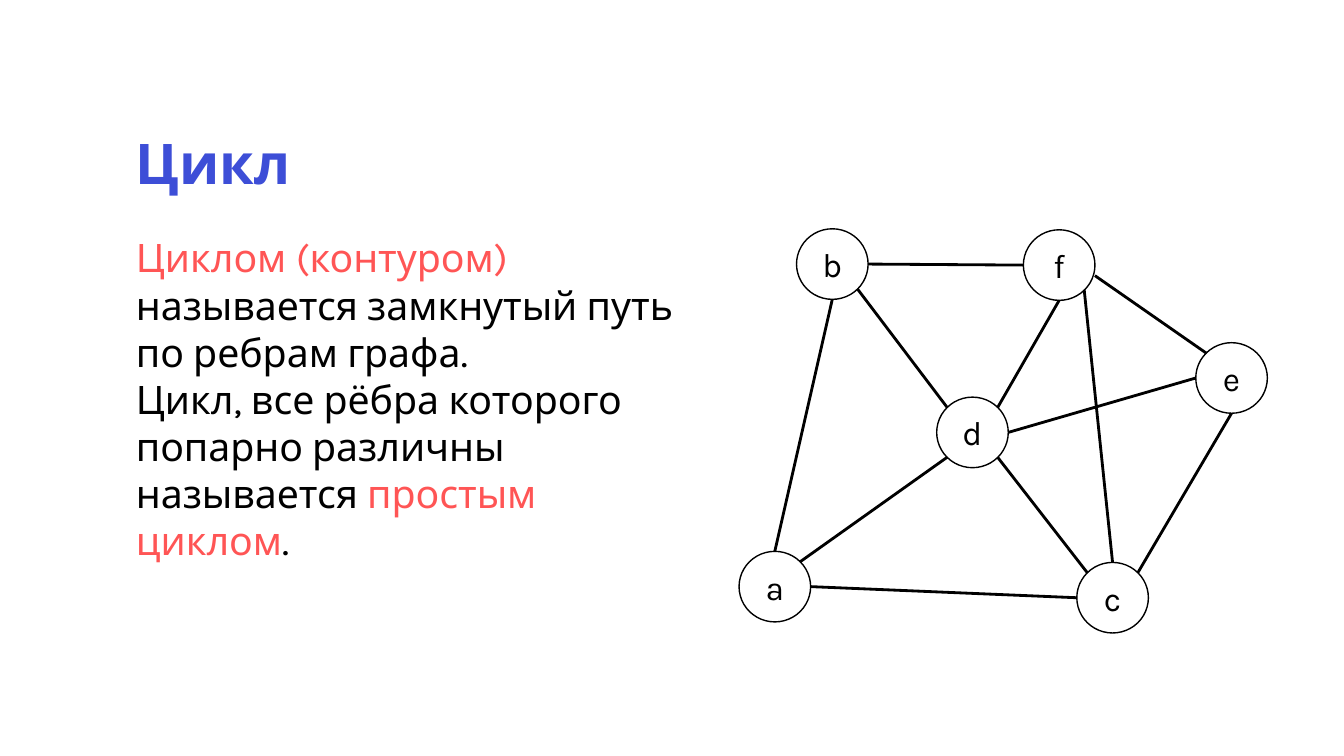
import pptx
import pptx.dml.color
import pptx.enum.shapes
import pptx.enum.text
import pptx.oxml
import pptx.util

Inches = pptx.util.Inches
Pt = pptx.util.Pt

FONT = "Karla"
COLORS = {"title": "3D4ED7", "accent": "FF5555", "text": "000000", "node": "FFFFFF"}

NODE_WIDTH, NODE_HEIGHT = 0.71, 0.7
NODES = {
    "b": (0.57, 0),
    "a": (0, 3.2),
    "d": (1.96, 1.67),
    "e": (4.53, 1.13),
    "c": (3.35, 3.31),
    "f": (2.82, 0.01),
}
SITES = {
    "top": (0.5, 0),
    "bottom": (0.5, 1),
    "left": (0, 0.5),
    "right": (1, 0.5),
    "top left": (0.15, 0.15),
    "top right": (0.85, 0.15),
    "bottom left": (0.15, 0.85),
    "bottom right": (0.85, 0.85),
    "lower right": (1, 0.65),
}
EDGES = [
    ("a", "top right", "d", "bottom left"),
    ("b", "bottom right", "d", "top left"),
    ("c", "left", "a", "right"),
    ("d", "bottom right", "c", "top left"),
    ("c", "top right", "e", "bottom"),
    ("d", "right", "e", "left"),
    ("a", "top", "b", "bottom"),
    ("f", "bottom", "d", "top right"),
    ("b", "right", "f", "left"),
    ("f", "lower right", "e", "top left"),
    ("f", "bottom right", "c", "top"),
]
DEFINITIONS = [
    [("Циклом (контуром) ", "accent"),
     ("называется замкнутый путь по ребрам графа.", "text")],
    [("Цикл, все рёбра которого попарно различны называется ", "text"),
     ("простым циклом", "accent"), (".", "text")],
]


def color(name):
    """Return the named palette colour."""
    return pptx.dml.color.RGBColor.from_string(COLORS[name])


def format_run(run, size, color_name, bold=False):
    """Set the font, size, colour and weight of a run."""
    run.font.name = FONT
    run.font.size = Pt(size)
    run.font.bold = bold
    run.font.color.rgb = color(color_name)


def add_text_frame(slide, left, top, width, height):
    """Add a wrapping text box and return its text frame."""
    box = slide.shapes.add_textbox(Inches(left), Inches(top), Inches(width), Inches(height))
    box.text_frame.word_wrap = True
    return box.text_frame


def add_title(slide, left, top, width, height):
    """Add the slide title in the given box."""
    text_frame = add_text_frame(slide, left, top, width, height)
    text_frame.vertical_anchor = pptx.enum.text.MSO_ANCHOR.MIDDLE
    text_frame.text = "Цикл"
    paragraph = text_frame.paragraphs[0]
    paragraph.line_spacing = 0.9
    format_run(paragraph.runs[0], 40, "title", bold=True)


def add_definitions(slide, left, top, width, height):
    """Add the definitions with their highlighted terms."""
    text_frame = add_text_frame(slide, left, top, width, height)
    for index, parts in enumerate(DEFINITIONS):
        paragraph = text_frame.add_paragraph() if index else text_frame.paragraphs[0]
        for text, color_name in parts:
            run = paragraph.add_run()
            run.text = text
            format_run(run, 28, color_name)


def add_node(slide, label, left, top):
    """Add one labelled graph vertex."""
    shape = slide.shapes.add_shape(
        pptx.enum.shapes.MSO_SHAPE.OVAL,
        Inches(left), Inches(top), Inches(NODE_WIDTH), Inches(NODE_HEIGHT))
    shape.shadow.inherit = False
    shape.fill.solid()
    shape.fill.fore_color.rgb = color("node")
    shape.line.color.rgb = color("text")
    shape.line.width = Pt(1)
    shape.text_frame.text = label
    shape.text_frame.vertical_anchor = pptx.enum.text.MSO_ANCHOR.MIDDLE
    paragraph = shape.text_frame.paragraphs[0]
    paragraph.alignment = pptx.enum.text.PP_ALIGN.CENTER
    format_run(paragraph.runs[0], 24, "text")


def add_edge(slide, start, end):
    """Add one graph edge between two points."""
    points = [Inches(value) for value in (*start, *end)]
    connector = slide.shapes.add_connector(
        pptx.enum.shapes.MSO_CONNECTOR.STRAIGHT, *points)
    connector.line.color.rgb = color("text")
    connector.line.width = Pt(2)
    properties = connector._element.spPr
    properties.append(properties.makeelement(pptx.oxml.ns.qn("a:effectLst"), {}))


def add_graph(slide, left, top):
    """Add the graph with its upper left corner at the given point."""
    def site_point(label, site):
        """Return the point on a vertex outline where an edge ends."""
        node_left, node_top = NODES[label]
        across, down = SITES[site]
        return left + node_left + across * NODE_WIDTH, top + node_top + down * NODE_HEIGHT

    for label, (node_left, node_top) in NODES.items():
        add_node(slide, label, left + node_left, top + node_top)
    for start, start_site, end, end_site in EDGES:
        add_edge(slide, site_point(start, start_site), site_point(end, end_site))


def main():
    """Build and save the slide about graph cycles."""
    presentation = pptx.Presentation()
    presentation.slide_width = Inches(13.33)
    presentation.slide_height = Inches(7.5)
    slide = presentation.slides.add_slide(presentation.slide_layouts[6])
    add_title(slide, 1.25, 1.25, 10.85, 0.8)
    add_definitions(slide, 1.25, 2.27, 5.54, 2.93)
    add_graph(slide, 7.33, 2.27)
    presentation.save("out.pptx")


if __name__ == "__main__":
    main()
